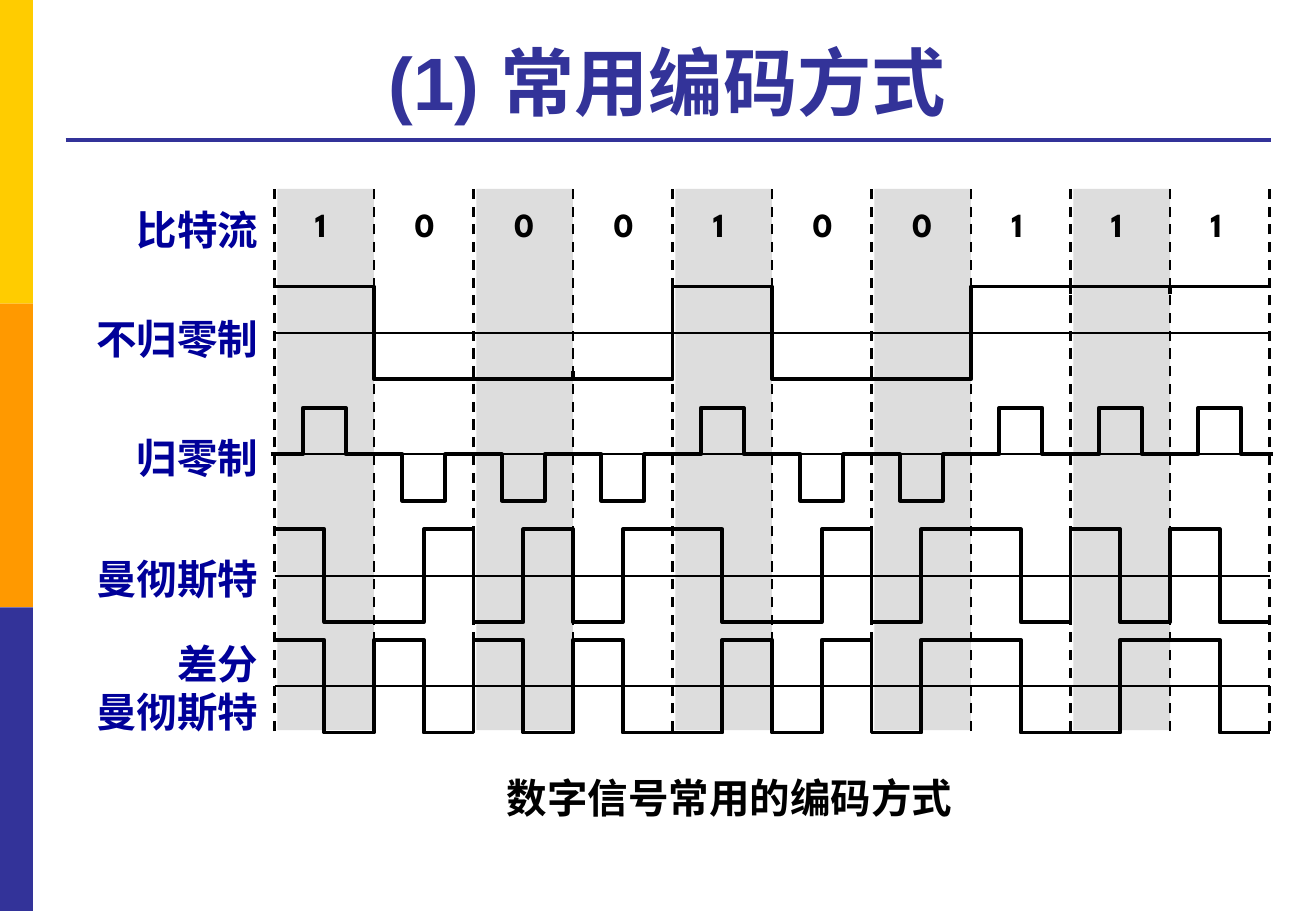
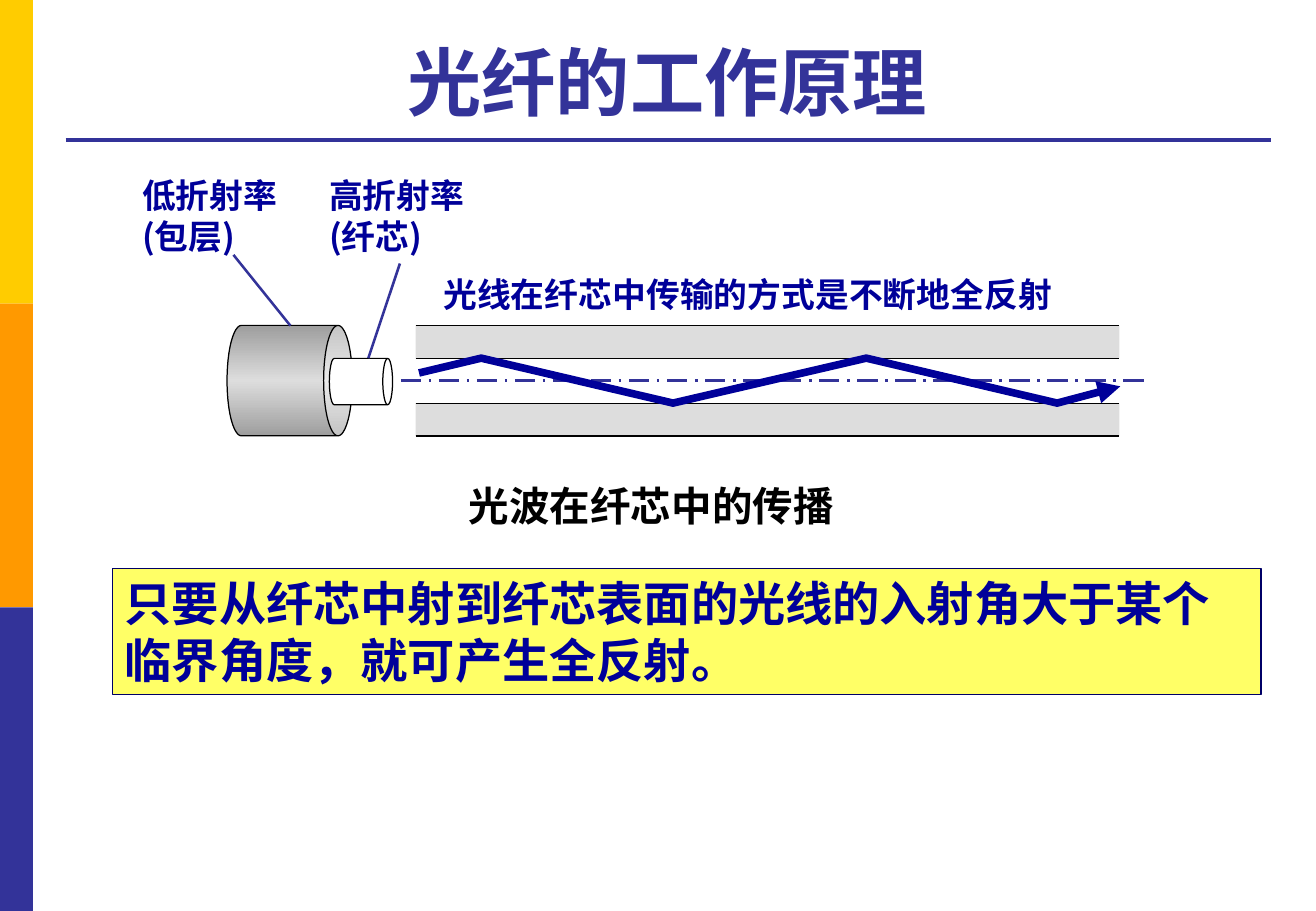
from copy import deepcopy
from itertools import groupby, pairwise

from lxml import etree
from pptx import Presentation
from pptx.dml.color import RGBColor
from pptx.enum.dml import MSO_LINE
from pptx.enum.shapes import MSO_CONNECTOR, MSO_SHAPE
from pptx.enum.text import MSO_ANCHOR, MSO_AUTO_SIZE, PP_ALIGN
from pptx.oxml.ns import qn
from pptx.util import Cm, Pt

RECT, CAN = MSO_SHAPE.RECTANGLE, MSO_SHAPE.CAN
STRAIGHT = MSO_CONNECTOR.STRAIGHT
DASH, DASH_DOT = MSO_LINE.DASH, MSO_LINE.LONG_DASH_DOT
LEFT, MID, RIGHT = PP_ALIGN.LEFT, PP_ALIGN.CENTER, PP_ALIGN.RIGHT
TOP, BOTTOM = MSO_ANCHOR.TOP, MSO_ANCHOR.BOTTOM
FIXED, GROW = MSO_AUTO_SIZE.NONE, MSO_AUTO_SIZE.SHAPE_TO_FIT_TEXT

HUES = {
    "yellow": "FFCC00", "orange": "FF9900", "indigo": "333399",
    "navy": "000099", "edge": "000066", "note": "FFFF66",
    "black": "000000", "white": "FFFFFF", "grey": "DDDDDD", "dark": "9E9E9E",
}
CJK = "Noto Sans CJK SC"
LOOKS = {
    "title": ("indigo", MID, {"name": "Arial", "size": Pt(44), "bold": True}),
    "label": ("navy", RIGHT, {"name": "Arial", "size": Pt(24), "bold": True}),
    "bit": ("black", LEFT,
            {"name": "League Spartan", "size": Pt(20), "bold": True}),
    "caption": ("black", MID, {"name": "Arial", "size": Pt(24), "bold": True}),
    "part": ("navy", LEFT, {"name": CJK, "size": Pt(20), "bold": True}),
    "note": ("navy", LEFT, {"name": "Arial", "size": Pt(28), "bold": True}),
}


def hue(name):
    """Return the named colour."""
    return RGBColor.from_string(HUES[name])


class Deck:
    """Holds the shared style and the current slide."""

    def __init__(self):
        """Start an empty deck."""
        self.prs = Presentation()
        self.prs.slide_width, self.prs.slide_height = Cm(27.51), Cm(19.05)
        self.slide = None

    def page(self, title):
        """Add a slide with side bands, a rule and a title."""
        self.slide = self.prs.slides.add_slide(self.prs.slide_layouts[5])
        for i, name in enumerate(("yellow", "orange", "indigo")):
            self.shape(RECT, (0, 6.35 * i, 0.69, 6.35), name)
        self.line((1.37, 2.92), (26.57, 2.92), "indigo", 2.25)
        head = self.slide.shapes.title
        spots = {"left": 1.37, "top": 0.53, "width": 25.17, "height": 2.21}
        for key, value in spots.items():
            setattr(head, key, Cm(value))
        self.label(head, title, "title", anchor=BOTTOM, fit=FIXED)

    def label(self, shape, text, look, wrap=True, anchor=TOP, fit=GROW):
        """Put styled text in a shape, one paragraph a line."""
        tint, align, font = LOOKS[look]
        frame = shape.text_frame
        frame.text = text
        frame.word_wrap, frame.auto_size = wrap, fit
        frame.vertical_anchor = anchor
        for para in frame.paragraphs:
            para.alignment = align
            for run in para.runs:
                for key, value in font.items():
                    setattr(run.font, key, value)
                run.font.color.rgb = hue(tint)
                east = etree.SubElement(run._r.get_or_add_rPr(), qn("a:ea"))
                east.set("typeface", CJK)

    def text(self, box, text, look, wrap=True):
        """Add a text box."""
        item = self.slide.shapes.add_textbox(*map(Cm, box))
        self.label(item, text, look, wrap)

    def stroke(self, item, tint, width, dash=None):
        """Set the line of a shape or connector."""
        item.line.color.rgb = hue(tint)
        item.line.width = Pt(width)
        if dash:
            item.line.dash_style = dash

    def shape(self, kind, box, fill, edge=None):
        """Add a filled preset shape, with a thin edge if named."""
        item = self.slide.shapes.add_shape(kind, *map(Cm, box))
        item.shadow.inherit = False
        item.fill.solid()
        item.fill.fore_color.rgb = hue(fill)
        if edge:
            self.stroke(item, edge, 0.75)
        else:
            item.line.fill.background()
        return item

    def can(self, box, bend):
        """Add a white cylinder lying on its side."""
        item = self.shape(CAN, box, "white", "black")
        item.rotation = 90
        item.adjustments[0] = bend
        return item

    def shade(self, item, names):
        """Give a shape an even gradient of three colours."""
        item.fill.gradient()
        item.fill.gradient_angle = 0
        stops = item._element.spPr.find(".//" + qn("a:gsLst"))
        stops.append(deepcopy(stops[-1]))
        for i, stop in enumerate(item.fill.gradient_stops):
            stop.position = i / 2
            stop.color.rgb = hue(names[i])

    def line(self, start, end, tint, width, dash=None):
        """Add a straight line."""
        item = self.slide.shapes.add_connector(
            STRAIGHT, *map(Cm, (*start, *end)))
        self.stroke(item, tint, width, dash)
        etree.SubElement(item._element.spPr, qn("a:effectLst"))

    def trace(self, points, tint="black", width=2.25, arrow=False):
        """Add an open line through points."""
        first, *rest = [(Cm(x), Cm(y)) for x, y in points]
        pen = self.slide.shapes.build_freeform(*first)
        pen.add_line_segments(rest, close=False)
        item = pen.convert_to_shape()
        item.shadow.inherit = False
        item.fill.background()
        self.stroke(item, tint, width)
        if arrow:
            line = item._element.spPr.find(qn("a:ln"))
            etree.SubElement(line, qn("a:tailEnd")).set("type", "triangle")


BITS = [1, 0, 0, 0, 1, 0, 0, 1, 1, 1]
EDGE, CELL, SWING = 5.74, 2.08, 0.97
NRZ, RZ, MAN, DIFF = AXES = 6.96, 9.5, 12.04, 14.35


def steps(levels, axis, width):
    """Return the corners of a square wave of high and low levels."""
    points, x = [], EDGE
    for level, run in groupby(levels):
        y = axis - SWING if level else axis + SWING
        end = x + width * len(list(run))
        points += [(x, y), (end, y)]
        x = end
    return points


def halves():
    """Return half-bit levels: Manchester, then differential."""
    plain, diff, last = [], [], 1
    for bit in BITS:
        plain += [bit, 1 - bit]
        first = last if bit else 1 - last
        last = 1 - first
        diff += [first, last]
    return plain, diff


def codes(deck):
    """Draw the slide of line codes."""
    deck.page("(1) 常用编码方式")
    names = ((4.17, "比特流"), (6.45, "不归零制"), (8.92, "归零制"),
             (11.46, "曼彻斯特"), (13.23, "差分\n曼彻斯特"))
    for y, name in names:
        deck.text((1.5, y, 4.15, 1.27), name, "label")
    for i in range(0, len(BITS), 2):
        deck.shape(RECT, (EDGE + CELL * i + 0.06, 3.95, 2.02, 11.32), "grey")
    for i, bit in enumerate(BITS):
        x = EDGE + CELL * i
        deck.text((x + 0.6, 4.14, 0.94, 1.09), str(bit), "bit", wrap=False)
        mid, peak = x + CELL / 2, RZ + (-SWING if bit else SWING)
        deck.trace([(mid - 1.12, RZ), (mid - 0.45, RZ), (mid - 0.45, peak),
                    (mid + 0.45, peak), (mid + 0.45, RZ), (mid + 1.12, RZ)])
        if i and bit == BITS[i - 1]:
            y = NRZ - SWING + 0.15 if bit else NRZ + SWING
            deck.line((x, y), (x, y - 0.17), "black", 2.25)
    plain, diff = halves()
    deck.trace(steps(BITS, NRZ, CELL))
    deck.trace(steps(plain, MAN, CELL / 2))
    deck.trace(steps(diff, DIFF, CELL / 2))
    for i in range(len(BITS) + 1):
        x = EDGE + CELL * i
        deck.line((x, 15.29), (x, 3.89), "black", 1.5, DASH)
    for y in AXES:
        deck.line((EDGE, y), (EDGE + CELL * len(BITS), y), "black", 1)
    deck.text((8.33, 16.05, 13.84, 1.27), "数字信号常用的编码方式", "caption")


def fibre(deck):
    """Draw the slide of light in a fibre."""
    deck.page("光纤的工作原理")
    left, width = 8.69, 14.71
    walls = (6.81, 7.49, 8.43, 9.12)
    for (y, end), fill in zip(pairwise(walls), ("grey", "white", "grey")):
        deck.shape(RECT, (left, y, width, end - y), fill)
    deck.shade(deck.can((4.9, 6.65, 2.31, 2.62), 0.26),
               ("dark", "grey", "dark"))
    deck.can((7.06, 7.32, 0.97, 1.32), 0.21)
    for y in walls:
        deck.line((left, y), (left + width, y), "black", 0.75)
    deck.line((8.38, 7.96), (23.95, 7.96), "indigo", 1.5, DASH_DOT)
    parts = (((6.63, 3.53, 3.38, 1.96), "高折射率\n(纤芯)"),
             ((2.72, 3.53, 3.38, 1.96), "低折射率\n(包层)"),
             ((9.02, 5.59, 13.41, 1.12), "光线在纤芯中传输的方式是不断地全反射"))
    for box, name in parts:
        deck.text(box, name, "part", wrap=False)
    deck.line((8.36, 5.51), (7.7, 7.49), "indigo", 1.5)
    deck.line((4.88, 5.33), (6.07, 6.81), "indigo", 1.5)
    deck.trace([(8.76, 7.8), (10.06, 7.49), (14.07, 8.43), (18.11, 7.49),
                (22.1, 8.43), (23.42, 8.08)], "navy", 4.5, arrow=True)
    deck.text((5.97, 9.93, 15.29, 1.27), "光波在纤芯中的传播", "caption")
    note = deck.shape(RECT, (2.36, 11.89, 24, 2.64), "note", "edge")
    deck.label(note, "只要从纤芯中射到纤芯表面的光线的入射角大于某个"
               "临界角度，就可产生全反射。", "note")


deck = Deck()
codes(deck)
fibre(deck)
deck.prs.save("out.pptx")
